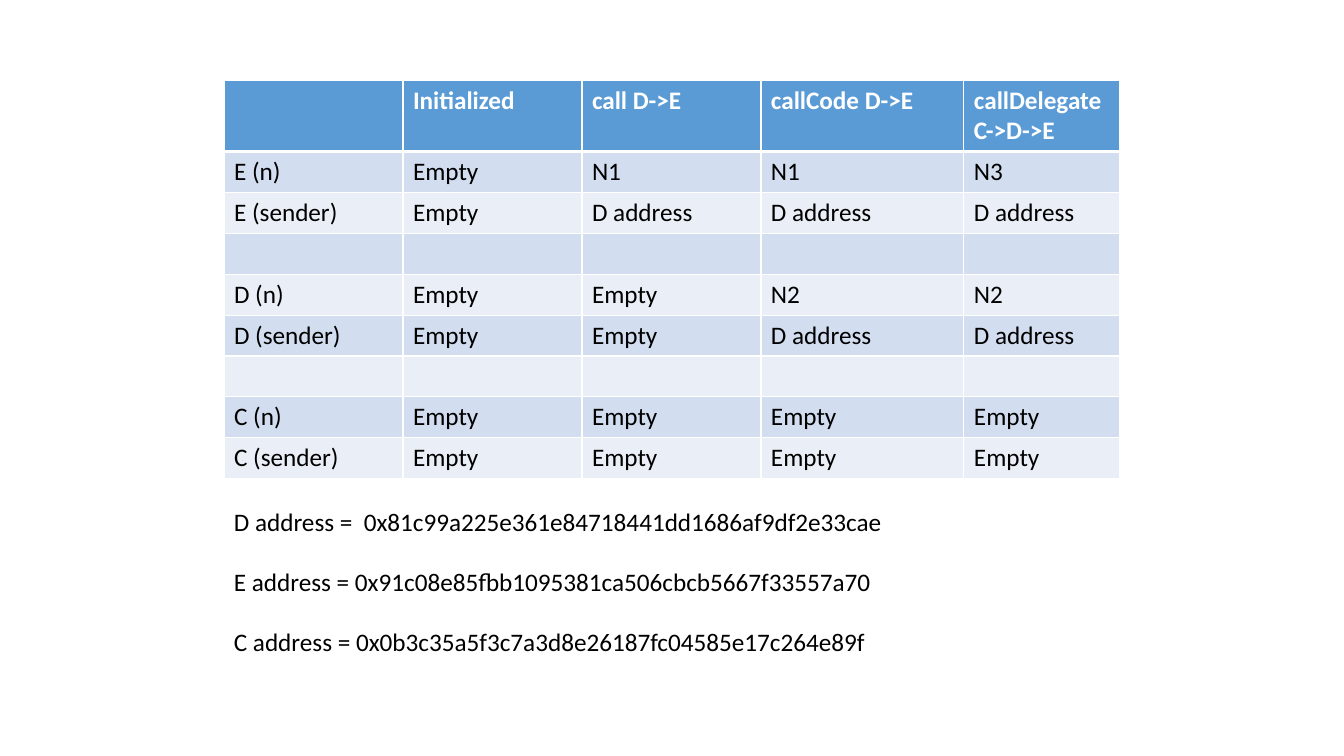
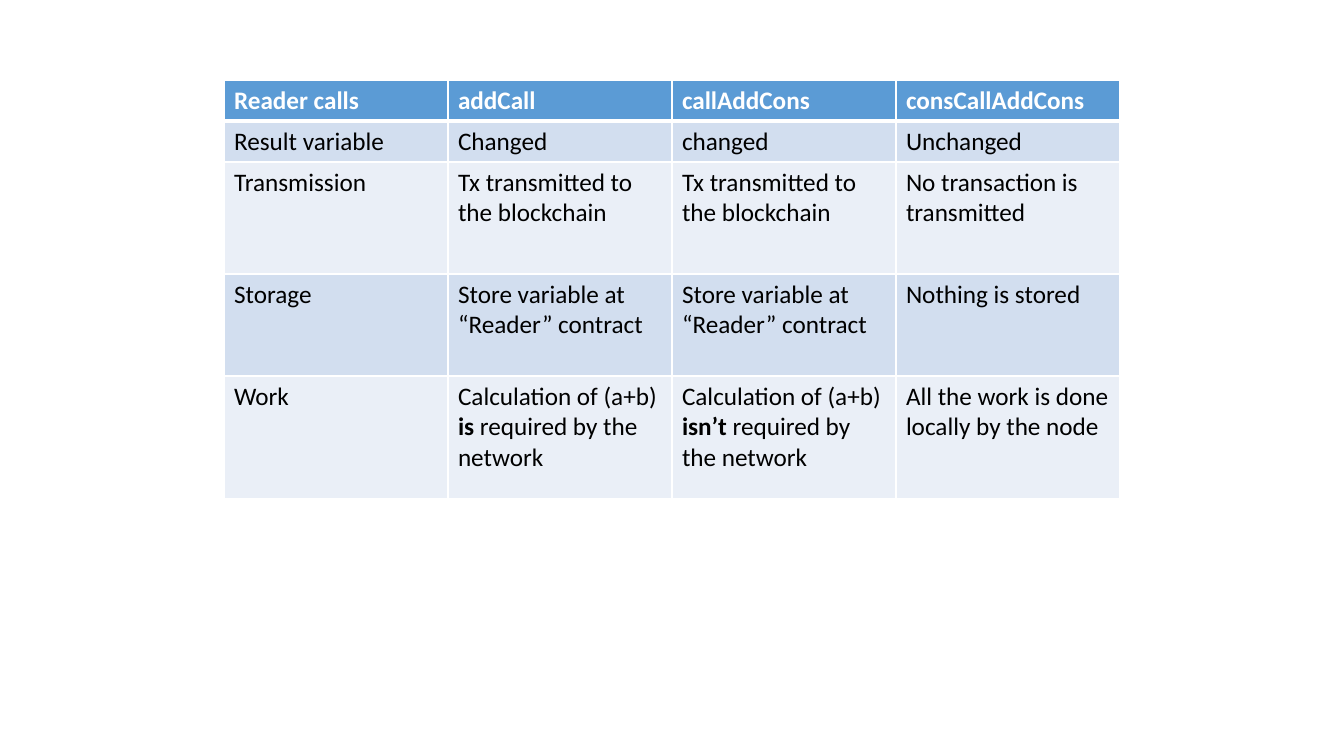
from dataclasses import dataclass

from lxml.etree import SubElement
from pptx import Presentation
from pptx.dml.color import RGBColor
from pptx.enum.text import MSO_AUTO_SIZE
from pptx.oxml.ns import qn
from pptx.util import Emu, Pt


@dataclass(frozen=True)
class Theme:
    font: str = "Calibri"
    size: float = 18
    paragraph_gap: float = 21.5
    text: str = "000000"
    header_text: str = "FFFFFF"
    header_fill: str = "5B9BD5"
    bands: tuple = ("D2DEEF", "EAEFF7")
    border: str = "FFFFFF"
    border_width: float = 1
    header_rule: float = 3


THEME = Theme()
EMU_PER_PIXEL = 914400 / 100.8
SLIDE_WIDTH, SLIDE_HEIGHT = 1344, 756
LEFT, TOP, WIDTH = 224, 80, 896

CALL_STATES = [
    ("", "Initialized", "call D->E", "callCode D->E", "callDelegate C->D->E"),
    ("E (n)", "Empty", "N1", "N1", "N3"),
    ("E (sender)", "Empty", "D address", "D address", "D address"),
    ("", "", "", "", ""),
    ("D (n)", "Empty", "Empty", "N2", "N2"),
    ("D (sender)", "Empty", "Empty", "D address", "D address"),
    ("", "", "", "", ""),
    ("C (n)", "Empty", "Empty", "Empty", "Empty"),
    ("C (sender)", "Empty", "Empty", "Empty", "Empty"),
]
CALL_COLUMNS = [179, 179, 179, 203, 156]
CALL_HEIGHT, CALL_HEADER = 397, 71

ADDRESSES = [
    "D address = \u00a00x81c99a225e361e84718441dd1686af9df2e33cae",
    "E address = 0x91c08e85fbb1095381ca506cbcb5667f33557a70",
    "C address = 0x0b3c35a5f3c7a3d8e26187fc04585e17c264e89f",
]
ADDRESS_TOP, ADDRESS_HEIGHT = 501, 163

TRANSMITTED = "Tx transmitted to the blockchain"
STORED = "Store variable at “Reader” contract"
READER_CALLS = [
    ("Reader calls", "addCall", "callAddCons", "consCallAddCons"),
    ("Result variable", "Changed", "changed", "Unchanged"),
    ("Transmission", TRANSMITTED, TRANSMITTED, "No transaction is transmitted"),
    ("Storage", STORED, STORED, "Nothing is stored"),
    (
        "Work",
        ("Calculation of (a+b) ", "is", " required by the network"),
        ("Calculation of (a+b) ", "isn’t", " required by the network"),
        "All the work is done locally by the node",
    ),
]
READER_ROWS = [41, 41, 112, 102, 123]


def px(length):
    return Emu(round(length * EMU_PER_PIXEL))


def style(paragraph, color, bold=False):
    font = paragraph.font
    font.name = THEME.font
    font.size = Pt(THEME.size)
    font.bold = bold
    font.color.rgb = RGBColor.from_string(color)


def write(paragraph, content):
    if isinstance(content, str):
        paragraph.text = content
        return
    before, emphasis, after = content
    paragraph.add_run().text = before
    strong = paragraph.add_run()
    strong.text = emphasis
    strong.font.bold = True
    paragraph.add_run().text = after


def draw_borders(cell, bottom, top):
    properties = cell._tc.get_or_add_tcPr()
    widths = {"L": THEME.border_width, "R": THEME.border_width, "T": top, "B": bottom}
    for side, width in widths.items():
        line = SubElement(properties, qn(f"a:ln{side}"), w=str(Pt(width)))
        fill = SubElement(line, qn("a:solidFill"))
        SubElement(fill, qn("a:srgbClr"), val=THEME.border)


def add_grid(slide, rows, column_widths, row_heights):
    grid = slide.shapes.add_table(
        len(rows), len(column_widths),
        px(LEFT), px(TOP), px(WIDTH), px(sum(row_heights)),
    ).table
    for column, width in zip(grid.columns, column_widths):
        column.width = px(width)
    for index, (row, height, contents) in enumerate(zip(grid.rows, row_heights, rows)):
        row.height = px(height)
        header = index == 0
        fill = THEME.header_fill if header else THEME.bands[(index - 1) % 2]
        for cell, content in zip(row.cells, contents):
            paragraph = cell.text_frame.paragraphs[0]
            write(paragraph, content)
            style(paragraph, THEME.header_text if header else THEME.text, header)
            draw_borders(
                cell,
                bottom=THEME.header_rule if header else THEME.border_width,
                top=THEME.header_rule if index == 1 else THEME.border_width,
            )
            cell.fill.solid()
            cell.fill.fore_color.rgb = RGBColor.from_string(fill)


def add_addresses(slide):
    frame = slide.shapes.add_textbox(
        px(LEFT), px(ADDRESS_TOP), px(WIDTH), px(ADDRESS_HEIGHT)
    ).text_frame
    frame.word_wrap = True
    frame.auto_size = MSO_AUTO_SIZE.SHAPE_TO_FIT_TEXT
    for index, address in enumerate(ADDRESSES):
        paragraph = frame.add_paragraph() if index else frame.paragraphs[0]
        write(paragraph, address)
        style(paragraph, THEME.text)
        if index:
            paragraph.space_before = Pt(THEME.paragraph_gap)


deck = Presentation()
deck.slide_width, deck.slide_height = px(SLIDE_WIDTH), px(SLIDE_HEIGHT)
blank = deck.slide_layouts[6]

call_slide = deck.slides.add_slide(blank)
body_count = len(CALL_STATES) - 1
body_height = (CALL_HEIGHT - CALL_HEADER) / body_count
add_grid(call_slide, CALL_STATES, CALL_COLUMNS, [CALL_HEADER] + [body_height] * body_count)
add_addresses(call_slide)

reader_slide = deck.slides.add_slide(blank)
reader_count = len(READER_CALLS[0])
add_grid(reader_slide, READER_CALLS, [WIDTH / reader_count] * reader_count, READER_ROWS)

deck.save("out.pptx")
